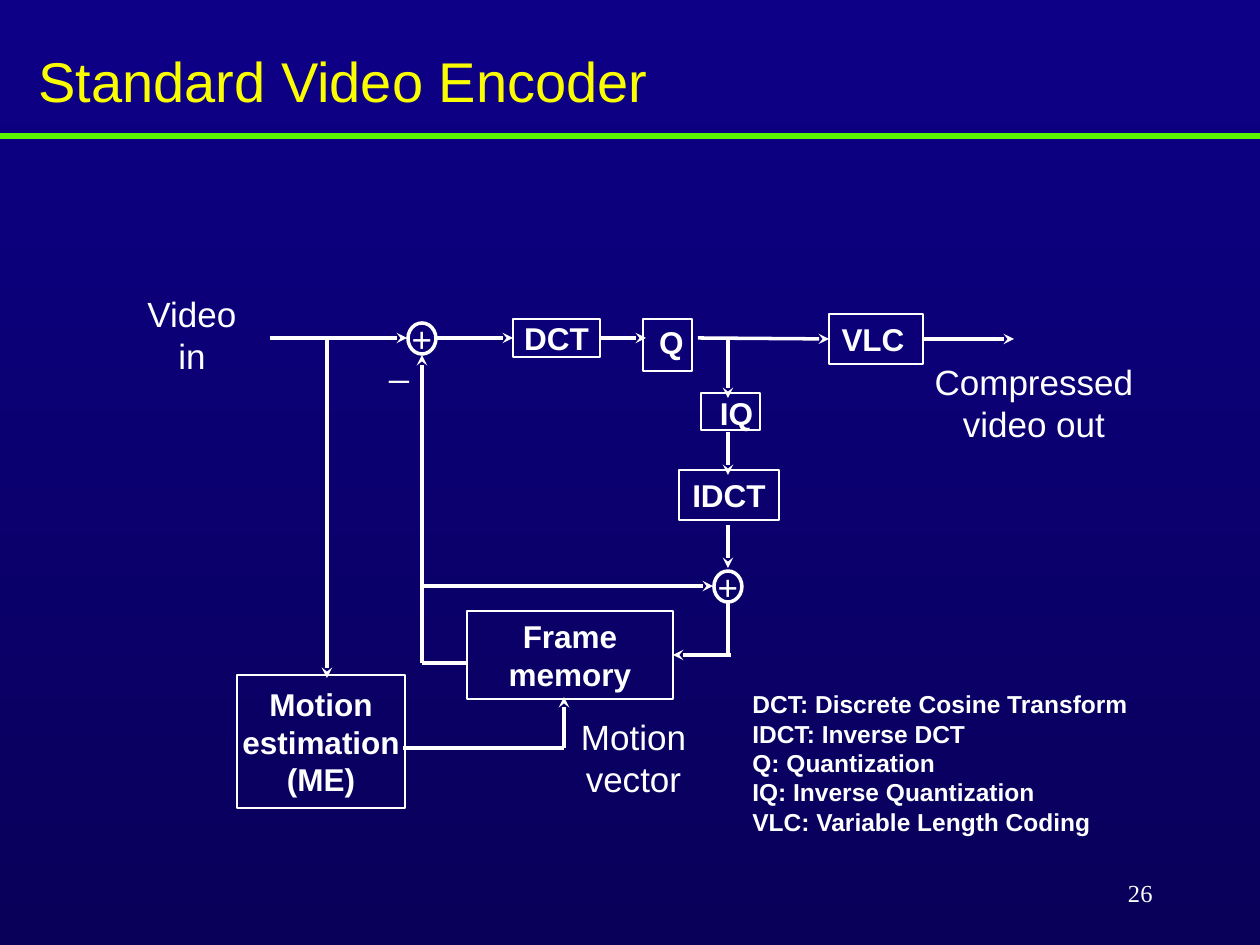
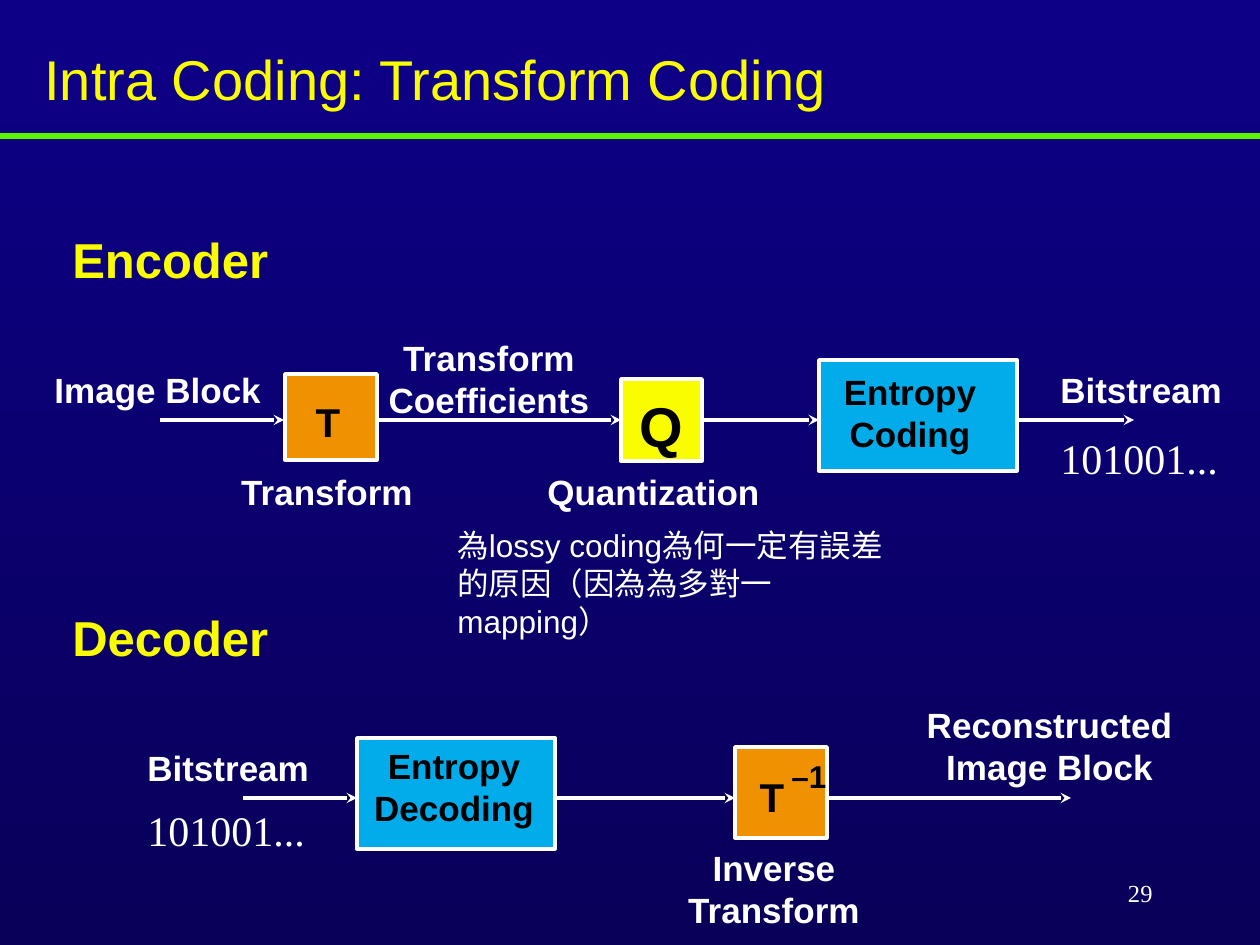
from dataclasses import dataclass
from typing import Any

from lxml import etree
from pptx import Presentation
from pptx.dml.color import RGBColor
from pptx.enum.shapes import MSO_CONNECTOR, MSO_SHAPE
from pptx.enum.text import MSO_ANCHOR, PP_ALIGN
from pptx.oxml.ns import qn
from pptx.util import Emu, Pt

PX = 914400 / 126
WIDTH, HEIGHT = 1260, 945
STRAIGHT = MSO_CONNECTOR.STRAIGHT
RECTANGLE, OVAL = MSO_SHAPE.RECTANGLE, MSO_SHAPE.OVAL
LEFT, CENTER, RIGHT = PP_ALIGN.LEFT, PP_ALIGN.CENTER, PP_ALIGN.RIGHT
TOP, MIDDLE = MSO_ANCHOR.TOP, MSO_ANCHOR.MIDDLE
LEFT_SIDE, RIGHT_SIDE = 1, 3
SANS, SERIF = "Arial", "Times New Roman"
COLORS = {
    "background_top": "0D0086",
    "background_bottom": "090059",
    "rule": "5AF400",
    "yellow": "FAFD00",
    "white": "FFFFFF",
    "black": "000000",
    "orange": "EF9100",
    "cyan": "02ABEA",
}


def px(length):
    return Emu(round(length * PX))


def rgb(name):
    return RGBColor.from_string(COLORS[name])


def write(frame, lines, size, color, bold, align, font, wrap, anchor):
    frame.word_wrap = wrap
    frame.vertical_anchor = anchor
    frame.text = "\n".join(lines)
    for paragraph in frame.paragraphs:
        paragraph.alignment = align
        paragraph.font.name = font
        paragraph.font.size = Pt(size)
        paragraph.font.bold = bold
        paragraph.font.color.rgb = rgb(color)


@dataclass
class Region:
    slide: Any
    left: int = 0
    top: int = 0

    def place(self, box):
        left, top, width, height = box
        return px(self.left + left), px(self.top + top), px(width), px(height)

    def text(self, box, *lines, size=20, color="white", bold=False, align=LEFT,
             font=SANS, wrap=False, anchor=TOP):
        shape = self.slide.shapes.add_textbox(*self.place(box))
        write(shape.text_frame, lines, size, color, bold, align, font, wrap, anchor)

    def block(self, box, *lines, kind=RECTANGLE, size=18, color="white", bold=True,
              fill=None, line_width=1, shift=(0, 0), wrap=False):
        shape = self.slide.shapes.add_shape(kind, *self.place(box))
        shape.shadow.inherit = False
        if fill:
            shape.fill.solid()
            shape.fill.fore_color.rgb = rgb(fill)
        else:
            shape.fill.background()
        shape.line.color.rgb = rgb("white")
        shape.line.width = Pt(line_width)
        frame = shape.text_frame
        across, down = shift
        frame.margin_left, frame.margin_right = px(max(2 * across, 0)), px(max(-2 * across, 0))
        frame.margin_top, frame.margin_bottom = px(max(2 * down, 0)), px(max(-2 * down, 0))
        write(frame, lines, size, color, bold, CENTER, SANS, wrap, MIDDLE)
        return shape

    def line(self, start, end, color="white", width=2, arrow=False,
             join_start=None, join_end=None):
        points = [px(value) for x, y in (start, end) for value in (self.left + x, self.top + y)]
        connector = self.slide.shapes.add_connector(STRAIGHT, *points)
        if join_start:
            connector.begin_connect(*join_start)
        if join_end:
            connector.end_connect(*join_end)
        connector.line.color.rgb = rgb(color)
        connector.line.width = Pt(width)
        if arrow:
            etree.SubElement(connector.line._get_or_add_ln(), qn("a:tailEnd"), type="stealth")
        etree.SubElement(connector._element.spPr, qn("a:effectLst"))

    def arrow(self, start, end, **joins):
        self.line(start, end, arrow=True, **joins)


def set_background(presentation):
    fill = presentation.slide_master.background.fill
    fill.gradient()
    fill.gradient_angle = 270
    for stop, name in zip(fill.gradient_stops, ("background_top", "background_bottom")):
        stop.color.rgb = rgb(name)


def add_framed_slide(presentation, title, title_box, number):
    slide = presentation.slides.add_slide(presentation.slide_layouts[6])
    page = Region(slide)
    page.line((0, 136), (WIDTH, 136), color="rule", width=3)
    page.text(title_box, title, size=32, color="yellow")
    page.text((903, 861, 262, 63), number, size=14, align=RIGHT, font=SERIF, anchor=MIDDLE)
    return slide


def add_video_encoder(region):
    region.block((107, 395, 168, 133), "Motion", "estimation", "(ME)")
    dct = region.block((383, 39, 87, 38), "DCT")
    region.block((513, 39, 49, 52), "Q", shift=(4, -3))
    region.block((571, 113, 59, 37), "IQ", shift=(6, 1))
    region.block((549, 190, 100, 50), "IDCT")
    vlc = region.block((699, 34, 94, 50), "VLC", shift=(-3, 0))
    memory = region.block((337, 331, 206, 88), "Frame memory", wrap=True)
    for left, top in ((278, 43), (584, 291)):
        region.block((left, top, 28, 31), "+", kind=OVAL, size=20, bold=False, line_width=2)

    region.arrow((140, 58), (277, 58))
    region.arrow((307, 58), (383, 58), join_end=(dct, LEFT_SIDE))
    region.arrow((470, 58), (516, 58), join_start=(dct, RIGHT_SIDE))
    region.arrow((568, 58), (699, 59), join_end=(vlc, LEFT_SIDE))
    region.arrow((793, 59), (884, 59), join_start=(vlc, RIGHT_SIDE))
    for top, bottom in ((58, 118), (152, 195), (245, 288)):
        region.arrow((598, top), (598, bottom))
    region.line((598, 322), (598, 376))
    region.arrow((601, 375), (543, 375), join_end=(memory, RIGHT_SIDE))
    region.line((292, 383), (337, 383))
    region.arrow((292, 383), (292, 75))
    region.arrow((292, 306), (583, 306))
    region.arrow((197, 60), (197, 398))
    region.line((273, 468), (434, 468))
    region.arrow((434, 468), (434, 417))

    region.text((247, 55, 45, 55), "_")
    region.text((4, 6, 116, 97), "Video", "in", align=CENTER)
    region.text((791, 74, 226, 97), "Compressed", "video out", align=CENTER)
    region.text((438, 429, 131, 97), "Motion", "vector", align=CENTER)


def add_legend(region):
    region.text((0, 0, 403, 161), "DCT: Discrete Cosine Transform", "IDCT: Inverse DCT",
                "Q: Quantization", "IQ: Inverse Quantization",
                "VLC: Variable Length Coding", size=14, bold=True)


def add_chain_base(region, heading, entropy_left, entropy_step, shift, stream_left, digits_top):
    region.text((20, 3, 224, 72), heading, size=28, color="yellow", bold=True)
    region.block((entropy_left, 140, 198, 111), "Entropy", entropy_step, size=20,
                 color="black", fill="cyan", line_width=2, shift=shift)
    region.text((stream_left, 142, 189, 55), "Bitstream", bold=True)
    region.text((stream_left, digits_top, 184, 63), "101001...", size=24, font=SERIF)


def add_transform_block(region, box, shift):
    region.block(box, "T", size=23, color="black", fill="orange", line_width=2, shift=shift)


def add_encoder_chain(region):
    add_chain_base(region, "Encoder", 779, "Coding", (-8, -3), 1008, 206)
    add_transform_block(region, (245, 154, 92, 86), (-3, 4))
    quantizer = region.block((581, 159, 81, 82), "Q", size=32, color="black",
                             fill="yellow", line_width=2, shift=(0, 5))
    region.arrow((120, 200), (244, 200))
    region.arrow((337, 200), (581, 200), join_end=(quantizer, LEFT_SIDE))
    region.arrow((662, 200), (779, 200), join_start=(quantizer, RIGHT_SIDE))
    region.arrow((977, 200), (1094, 200))
    region.text((2, 142, 233, 55), "Image Block", bold=True)
    region.text((335, 110, 228, 97), "Transform", "Coefficients", bold=True, align=CENTER)
    region.text((188, 244, 198, 55), "Transform", bold=True, align=CENTER)
    region.text((494, 244, 239, 55), "Quantization", bold=True, align=CENTER)
    region.text((405, 300, 469, 89),
                "為lossy coding為何一定有誤差的原因（因為為多對一mapping）", size=18, wrap=True)


def add_decoder_chain(region):
    add_chain_base(region, "Decoder", 317, "Decoding", (-2, -7), 95, 200)
    add_transform_block(region, (695, 149, 92, 91), (-9, 4))
    region.text((739, 153, 60, 50), "–1", size=18, color="black", bold=True)
    for start, end in ((203, 317), (515, 695), (787, 1031)):
        region.arrow((start, 200), (end, 200))
    region.text((873, 99, 273, 97), "Reconstructed", "Image Block", bold=True, align=CENTER)
    region.text((635, 242, 198, 97), "Inverse", "Transform", bold=True, align=CENTER)


def main():
    presentation = Presentation()
    presentation.slide_width = px(WIDTH)
    presentation.slide_height = px(HEIGHT)
    set_background(presentation)

    slide = add_framed_slide(presentation, "Standard Video Encoder", (26, 40, 640, 81), "26")
    add_video_encoder(Region(slide, 130, 280))
    add_legend(Region(slide, 740, 683))

    slide = add_framed_slide(presentation, "Intra Coding: Transform Coding",
                             (32, 38, 813, 81), "29")
    add_encoder_chain(Region(slide, 40, 220))
    add_decoder_chain(Region(slide, 40, 598))

    presentation.save("out.pptx")


if __name__ == "__main__":
    main()
